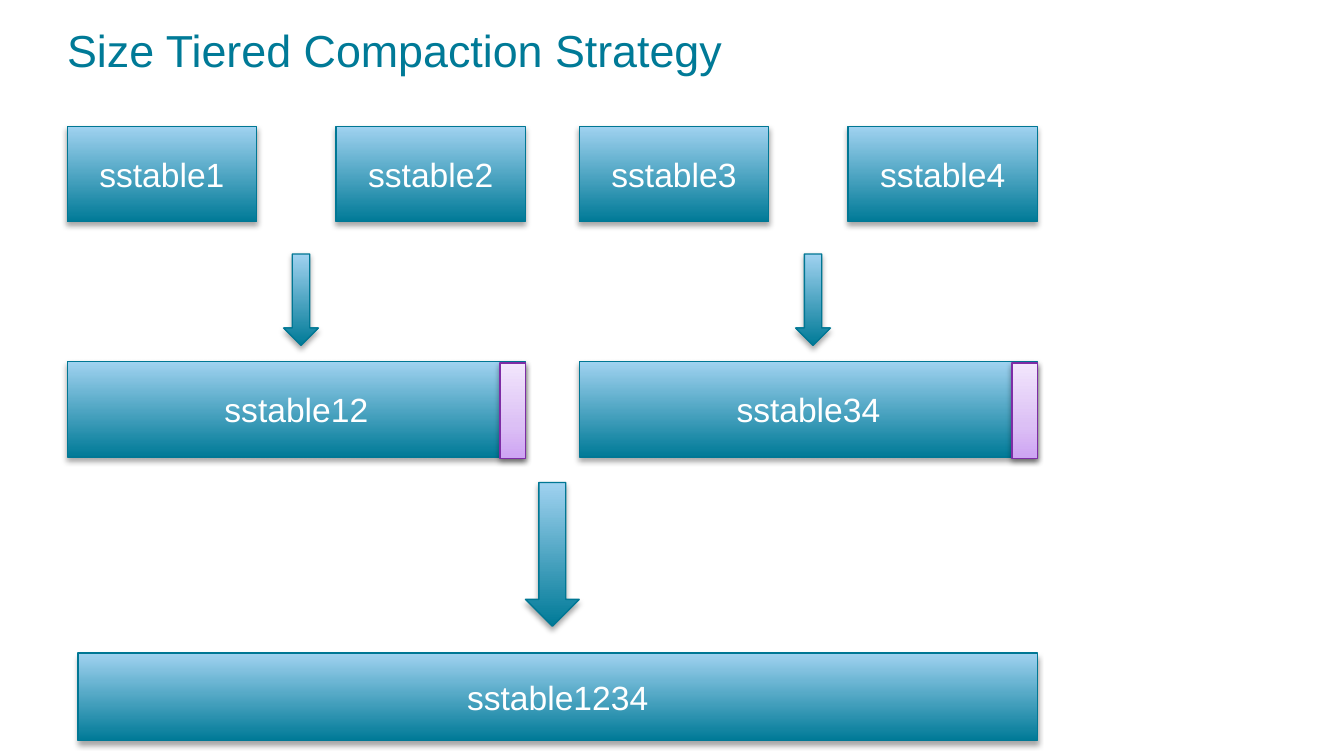
from pptx import Presentation
from pptx.dml.color import RGBColor
from pptx.enum.shapes import MSO_SHAPE as Kind
from pptx.enum.text import PP_ALIGN as Align, MSO_ANCHOR as Anchor
from pptx.oxml import parse_xml
from pptx.util import Inches, Pt

TITLE = "Size Tiered Compaction Strategy"
PAIRS = [("sstable1", "sstable2", "sstable12"),
         ("sstable3", "sstable4", "sstable34")]
FINAL = "sstable1234"

BLUE = {"stops": [(0, "007A97"), (100, "A0D2F0")], "line": "007794",
        "alpha": 35, "dist": 1.8}
LILAC = {"stops": [(0, "CEA4F3"), (35, "DCC0F5"), (100, "F2E6FC")],
         "line": "7E2DA6", "alpha": 38, "dist": 1.6}

WIDTH = 10
HEIGHT = WIDTH * 9 / 16
LEFT, STEP, WIDE = 0.5, 3.81, 3.41
SMALL, HIGH, SLIM = 1.41, 0.71, 0.19
TOP, MID, LOW = 0.94, 2.69, 4.86
RIGHT = LEFT + STEP + WIDE
NS = 'xmlns:a="http://schemas.openxmlformats.org/drawingml/2006/main"'


def color(text):
    return RGBColor.from_string(text)


def style(run, size, tint):
    run.font.size = Pt(size)
    run.font.name = "Arial"
    run.font.color.rgb = color(tint)


def paint(shape, look):
    stops = "".join(
        f'<a:gs pos="{pos * 1000}"><a:srgbClr val="{tint}"/></a:gs>'
        for pos, tint in look["stops"])
    grad = parse_xml(f'<a:gradFill {NS} rotWithShape="1"><a:gsLst>{stops}</a:gsLst>'
                     '<a:lin ang="16200000" scaled="0"/></a:gradFill>')
    shape._element.spPr.find("{*}prstGeom").addnext(grad)
    shape.line.color.rgb = color(look["line"])
    shape.line.width = Pt(0.75)
    shape.shadow.inherit = False
    shade = parse_xml(
        f'<a:outerShdw {NS} blurRad="{Pt(3.1)}" dist="{Pt(look["dist"])}" '
        'dir="5400000" rotWithShape="0"><a:srgbClr val="000000">'
        f'<a:alpha val="{look["alpha"] * 1000}"/></a:srgbClr></a:outerShdw>')
    shape._element.spPr.find("{*}effectLst").append(shade)


def block(x, y, w, h, text="", look=BLUE, kind=Kind.RECTANGLE):
    shape = slide.shapes.add_shape(kind, *map(Inches, (x, y, w, h)))
    paint(shape, look)
    if text:
        frame = shape.text_frame
        frame.text = text
        frame.vertical_anchor = Anchor.MIDDLE
        para = frame.paragraphs[0]
        para.alignment = Align.CENTER
        style(para.runs[0], 18, "FFFFFF")


def arrow(x, y, w, h):
    block(x, y, w, h, kind=Kind.DOWN_ARROW)


deck = Presentation()
deck.slide_width, deck.slide_height = Inches(WIDTH), Inches(HEIGHT)
slide = deck.slides.add_slide(deck.slide_layouts[6])

frame = slide.shapes.add_textbox(*map(Inches, (LEFT, 0.17, 7.74, 0.94))).text_frame
frame.word_wrap = True
frame.margin_left = frame.margin_right = frame.margin_top = frame.margin_bottom = 0
frame.text = TITLE
style(frame.paragraphs[0].runs[0], 24, "007A97")

for col, (first, second, merged) in enumerate(PAIRS):
    x = LEFT + col * STEP
    end = x + WIDE
    block(x, TOP, SMALL, HIGH, first)
    block(end - SMALL, TOP, SMALL, HIGH, second)
    arrow(x + 1.61, 1.89, 0.26, 0.68)
    block(x, MID, WIDE, HIGH, merged)
    block(end - SLIM, MID + 0.01, SLIM, HIGH, look=LILAC)

arrow(LEFT + WIDE, 3.59, STEP - WIDE, 1.07)
block(RIGHT - 7.14, LOW, 7.14, 0.65, FINAL)

deck.save("out.pptx")
